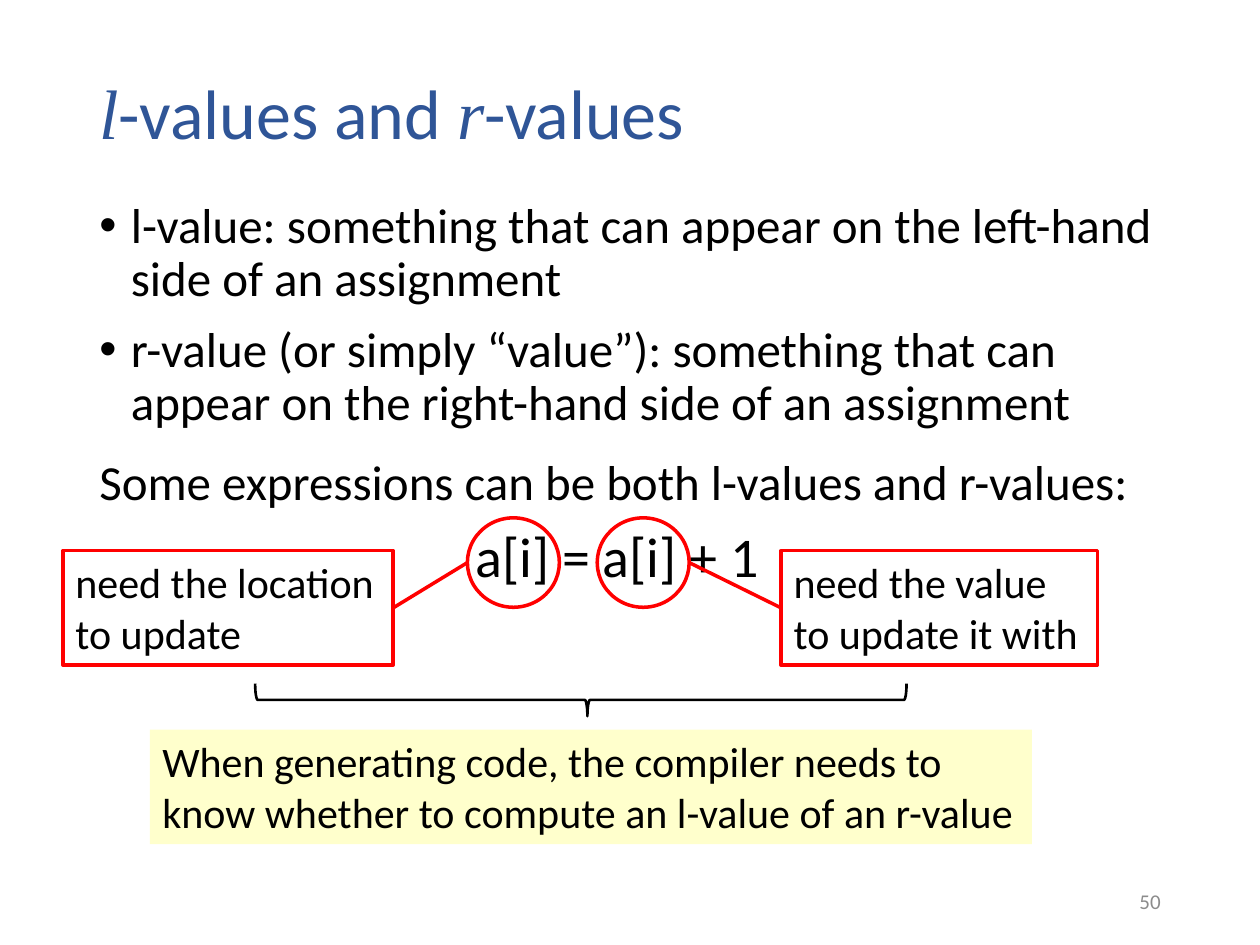
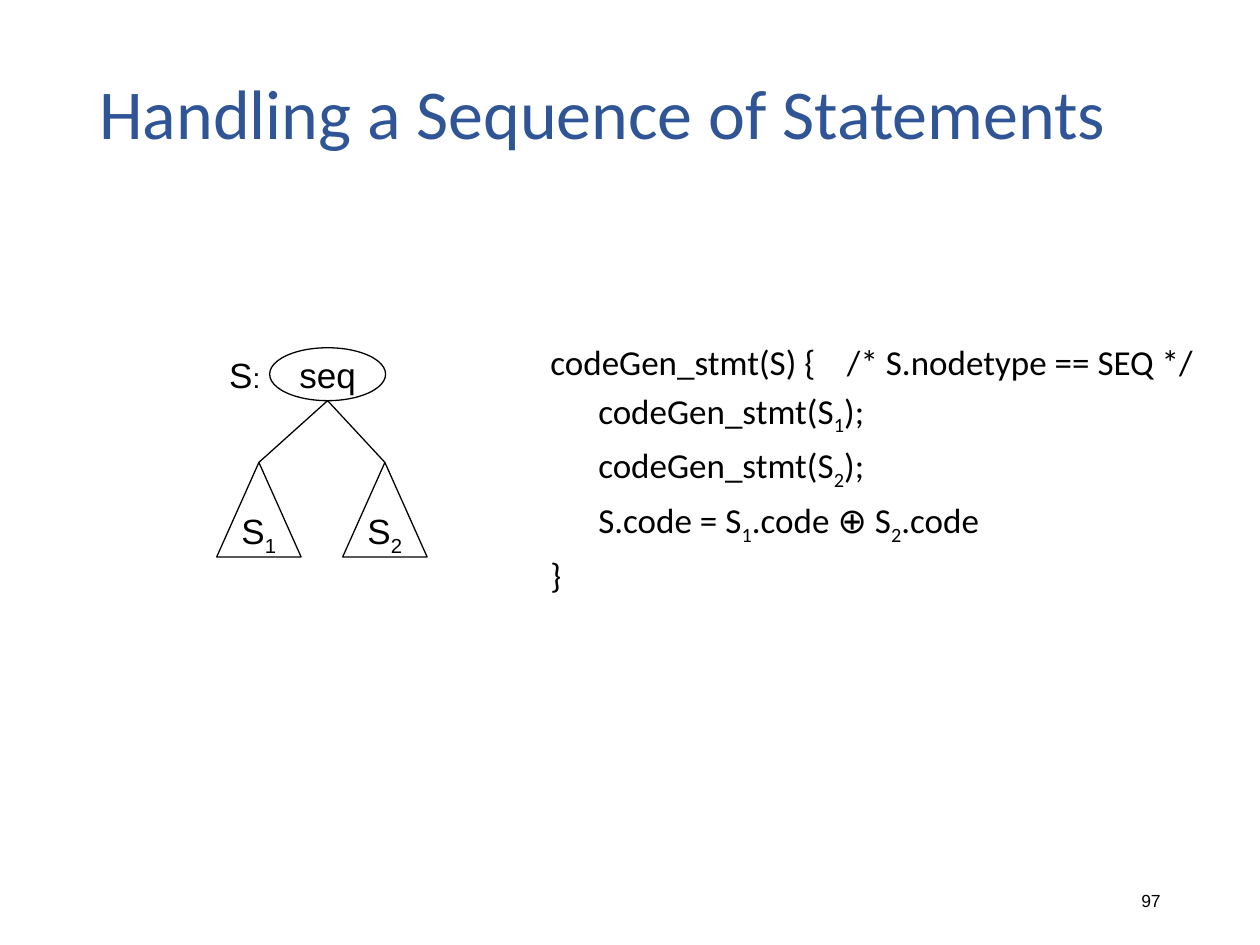
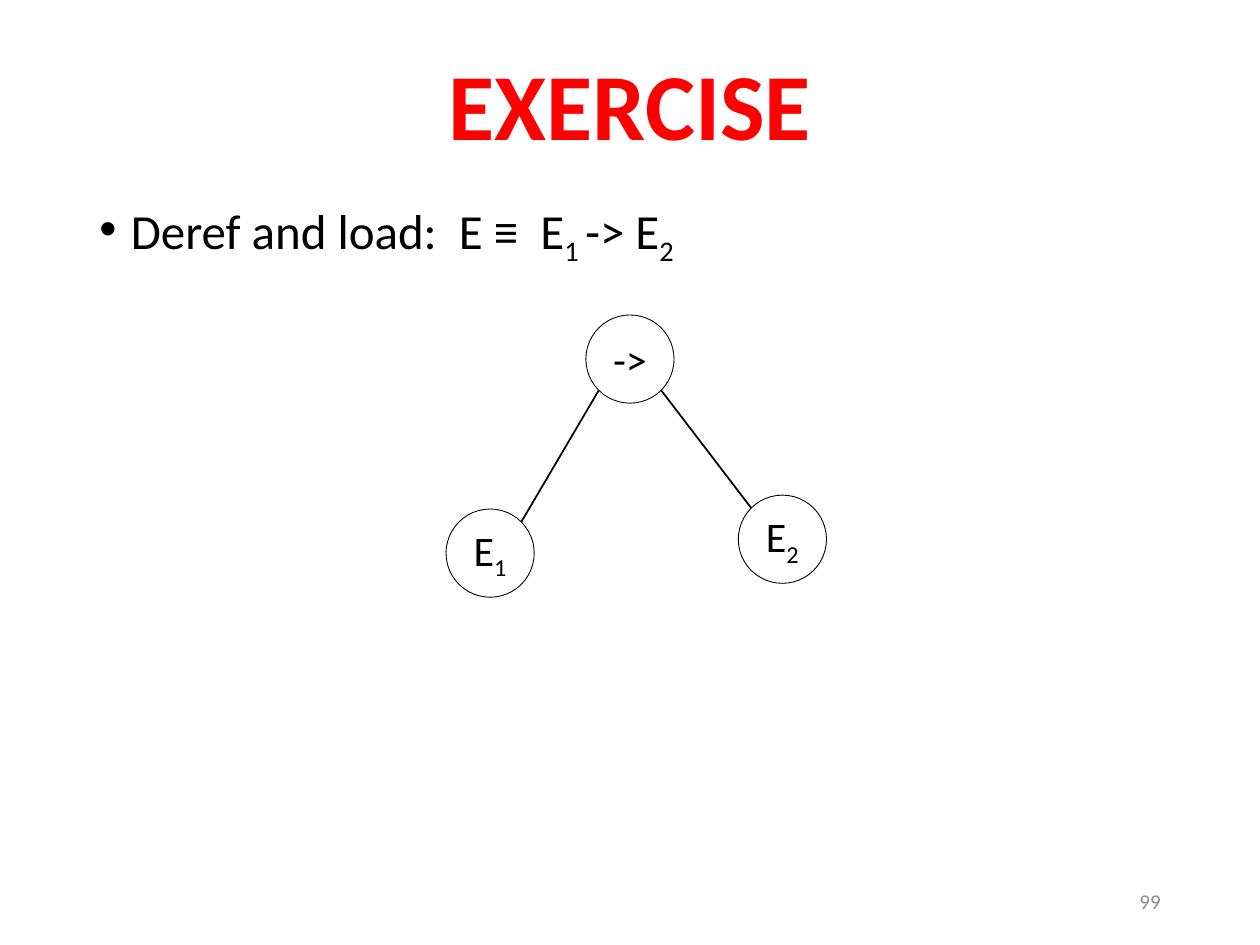
from math import sqrt

from lxml.etree import SubElement
from pptx import Presentation
from pptx.dml.color import RGBColor
from pptx.enum.shapes import MSO_CONNECTOR, MSO_SHAPE as Shape
from pptx.enum.text import MSO_ANCHOR as Anchor, PP_ALIGN as Align
from pptx.oxml.ns import qn
from pptx.util import Inches, Pt

WIDTH, HEIGHT = Inches(10), Inches(7.5)
COLUMN, ROW = WIDTH / 10, HEIGHT / 7.5

BLACK = RGBColor(0x00, 0x00, 0x00)
BLUE = RGBColor(0x2F, 0x55, 0x97)
RED = RGBColor(0xFF, 0x00, 0x00)
GREY = RGBColor(0x8C, 0x8C, 0x8C)
YELLOW = RGBColor(0xFF, 0xFF, 0xCC)

BODY_FONT, TREE_FONT, SERIF_FONT = "Calibri", "Arial", "Times New Roman"
MARGIN, CONTENT_WIDTH = 0.69, 8.62
BULLET_INDENT = 0.25


def place(left, top, width, height):
    """Turn grid columns and rows into slide lengths."""
    return (round(left * COLUMN), round(top * ROW),
            round(width * COLUMN), round(height * ROW))


def subscript(font):
    font._element.set("baseline", "-25000")


def serif_italic(font):
    font.name, font.italic = SERIF_FONT, True


def smaller(font):
    font.size = Pt(16)


def write(paragraph, text, size, color=BLACK, font=BODY_FONT, bold=False,
          accent=subscript, align=Align.LEFT, spacing=None, before=0):
    """Write text in which every second part between bars takes the accent."""
    paragraph.alignment = align
    if spacing:
        paragraph.line_spacing = spacing
    if before:
        paragraph.space_before = Pt(before)
    for index, part in enumerate(text.split("|")):
        if not part:
            continue
        run = paragraph.add_run()
        run.text = part
        run.font.size, run.font.name = Pt(size), font
        run.font.color.rgb, run.font.bold = color, bold
        if index % 2:
            accent(run.font)


def indent(paragraph, margin, first_line=0, bullet=None):
    properties = paragraph._p.get_or_add_pPr()
    properties.set("marL", str(round(margin * COLUMN)))
    properties.set("indent", str(round(first_line * COLUMN)))
    if bullet:
        SubElement(properties, qn("a:buFont")).set("typeface", "Arial")
        SubElement(properties, qn("a:buChar")).set("char", bullet)


def add_text_frame(slide, box, anchor=Anchor.TOP, wrap=True):
    text_frame = slide.shapes.add_textbox(*place(*box)).text_frame
    text_frame.word_wrap = wrap
    text_frame.vertical_anchor = anchor
    return text_frame


def paragraphs_of(text_frame, count):
    for _ in range(count - 1):
        text_frame.add_paragraph()
    return text_frame.paragraphs


def add_title(slide, text, height=1.05, size=40, color=BLUE, **style):
    text_frame = add_text_frame(
        slide, (MARGIN, 0.4, CONTENT_WIDTH, height), Anchor.MIDDLE)
    write(text_frame.paragraphs[0], text, size, color,
          accent=serif_italic, spacing=0.9, **style)


def add_slide_number(slide, number, size=12, color=GREY, font=BODY_FONT):
    text_frame = add_text_frame(slide, (7.06, 6.95, 2.25, 0.4), Anchor.MIDDLE)
    write(text_frame.paragraphs[0], number, size, color, font, align=Align.RIGHT)


def add_bullets(slide, height, items):
    text_frame = add_text_frame(slide, (MARGIN, 1.55, CONTENT_WIDTH, height))
    for index, paragraph in enumerate(paragraphs_of(text_frame, len(items))):
        indent(paragraph, BULLET_INDENT, -BULLET_INDENT, "•")
        write(paragraph, items[index], 28, spacing=0.9, before=10 if index else 0)


def add_outline(slide, kind, box, color=None, line_width=0, fill=None):
    shape = slide.shapes.add_shape(kind, *place(*box))
    shape.shadow.inherit = False
    if fill is None:
        shape.fill.background()
    else:
        shape.fill.solid()
        shape.fill.fore_color.rgb = fill
    if color is None:
        shape.line.fill.background()
    else:
        shape.line.color.rgb, shape.line.width = color, Pt(line_width)
    return shape


def add_note(slide, box, text, **look):
    note = add_outline(slide, Shape.RECTANGLE, box, **look)
    note.text_frame.vertical_anchor = Anchor.TOP
    write(note.text_frame.paragraphs[0], text, 24)
    return note


def add_node(slide, kind, box, text, line_width, size, font=BODY_FONT):
    node = add_outline(slide, kind, box, BLACK, line_width)
    node.text_frame.word_wrap = False
    node.text_frame.vertical_anchor = Anchor.MIDDLE
    write(node.text_frame.paragraphs[0], text, size, font=font, align=Align.CENTER)
    return node


def add_line(slide, start, end, color, line_width):
    line = slide.shapes.add_connector(
        MSO_CONNECTOR.STRAIGHT, *place(*start, *end))
    line.line.color.rgb, line.line.width = color, Pt(line_width)
    SubElement(line._element.spPr, qn("a:effectLst"))
    return line


def build_values_slide(slide):
    add_title(slide, "|l|-values and |r|-values")
    add_bullets(slide, 2.01, [
        "l-value: something that can appear on the left-hand side of an assignment",
        "r-value (or simply “value”): something that can appear on the "
        "right-hand side of an assignment",
    ])
    add_slide_number(slide, "50")

    text_frame = add_text_frame(slide, (MARGIN, 3.59, 8.42, 1.77))
    lead, assignment = paragraphs_of(text_frame, 2)
    write(lead, "Some expressions can be both l-values and r-values:", 28,
          spacing=0.9)
    write(assignment, "a[i] = a[i] + 1", 32, align=Align.CENTER,
          spacing=0.9, before=10)

    ring_top, ring_width, ring_height = 4.11, 0.73, 0.71
    ring_middle = ring_top + ring_height / 2
    note_top, note_height = 4.37, 0.91
    note_middle = note_top + note_height / 2
    callouts = [  # ring left, ring side, note left, note width, note site, text
        (3.71, 0, 0.5, 2.62, 3, "need the location to update"),
        (4.74, ring_width, 6.2, 2.51, 1, "need the value to update it with"),
    ]
    for ring_left, side, note_left, note_width, site, text in callouts:
        note = add_note(slide, (note_left, note_top, note_width, note_height),
                        text, color=RED, line_width=2)
        add_outline(slide, Shape.OVAL,
                    (ring_left, ring_top, ring_width, ring_height), RED, 2)
        line = add_line(slide, (ring_left + side, ring_middle),
                        (note_left, note_middle), RED, 2)
        line.end_connect(note, site)

    brace = add_outline(slide, Shape.RIGHT_BRACE, (4.48, 2.97, 0.26, 5.17),
                        BLACK, 1.5)
    brace.rotation = 90
    brace.adjustments[0], brace.adjustments[1] = 0.08, 0.49
    add_note(slide, (1.19, 5.79, 7, 0.91),
             "When generating code, the compiler needs to know whether to "
             "compute an l-value of an r-value", fill=YELLOW)


def build_sequence_slide(slide):
    add_title(slide, "Handling a Sequence of Statements")
    add_slide_number(slide, "97", 10, BLACK, TREE_FONT)

    code = [  # level, line
        (0, "codeGen_stmt(S) {    /* S.nodetype == SEQ */"),
        (1, "codeGen_stmt(S|1|);"),
        (1, "codeGen_stmt(S|2|);"),
        (1, "S.code = S|1|.code ⊕ S|2|.code"),
        (0, "}"),
    ]
    text_frame = add_text_frame(slide, (4.27, 2.65, 5.4, 2.74))
    for paragraph, (level, line) in zip(paragraphs_of(text_frame, len(code)), code):
        indent(paragraph, 0.38 * level)
        write(paragraph, line, 20, before=0 if line == code[0][1] else 4)

    add_node(slide, Shape.OVAL, (2.14, 2.76, 0.92, 0.42), "seq", 0.75, 20, TREE_FONT)
    for index in range(2):
        left = 1.72 + index
        subtree = add_node(slide, Shape.ISOSCELES_TRIANGLE, (left, 3.67, 0.67, 0.75),
                           f"S|{index + 1}", 0.75, 20, TREE_FONT)
        edge = add_line(slide, (2.6, 3.18), (left, 3.67), BLACK, 0.75)
        edge.end_connect(subtree, 0)
    label = add_text_frame(slide, (1.72, 2.76, 0.45, 0.44), wrap=False)
    write(label.paragraphs[0], "S|:", 20, font=TREE_FONT, accent=smaller)


def build_exercise_slide(slide):
    add_title(slide, "EXERCISE", 0.95, 54, RED, bold=True, align=Align.CENTER)
    add_bullets(slide, 0.75, ["Deref and load:  E ≡  E|1 |-> E|2"])
    add_slide_number(slide, "99")

    radius = 0.35
    diagonal = radius / sqrt(2)

    def add_circle(center, text):
        x, y = center
        add_node(slide, Shape.OVAL, (x - radius, y - radius, 2 * radius, 2 * radius),
                 text, 0.5, 24)

    root_x, root_y = root = (5, 2.85)
    add_circle(root, "->")
    for side, (x, y), text in [(-1, (3.89, 4.39), "E|1"), (1, (6.21, 4.28), "E|2")]:
        add_circle((x, y), text)
        add_line(slide, (root_x + side * diagonal, root_y + diagonal),
                 (x - side * diagonal, y - diagonal), BLACK, 1)


def main():
    presentation = Presentation()
    presentation.slide_width, presentation.slide_height = WIDTH, HEIGHT
    blank_layout = presentation.slide_layouts[6]
    for build in (build_values_slide, build_sequence_slide, build_exercise_slide):
        build(presentation.slides.add_slide(blank_layout))
    presentation.save("out.pptx")


if __name__ == "__main__":
    main()
